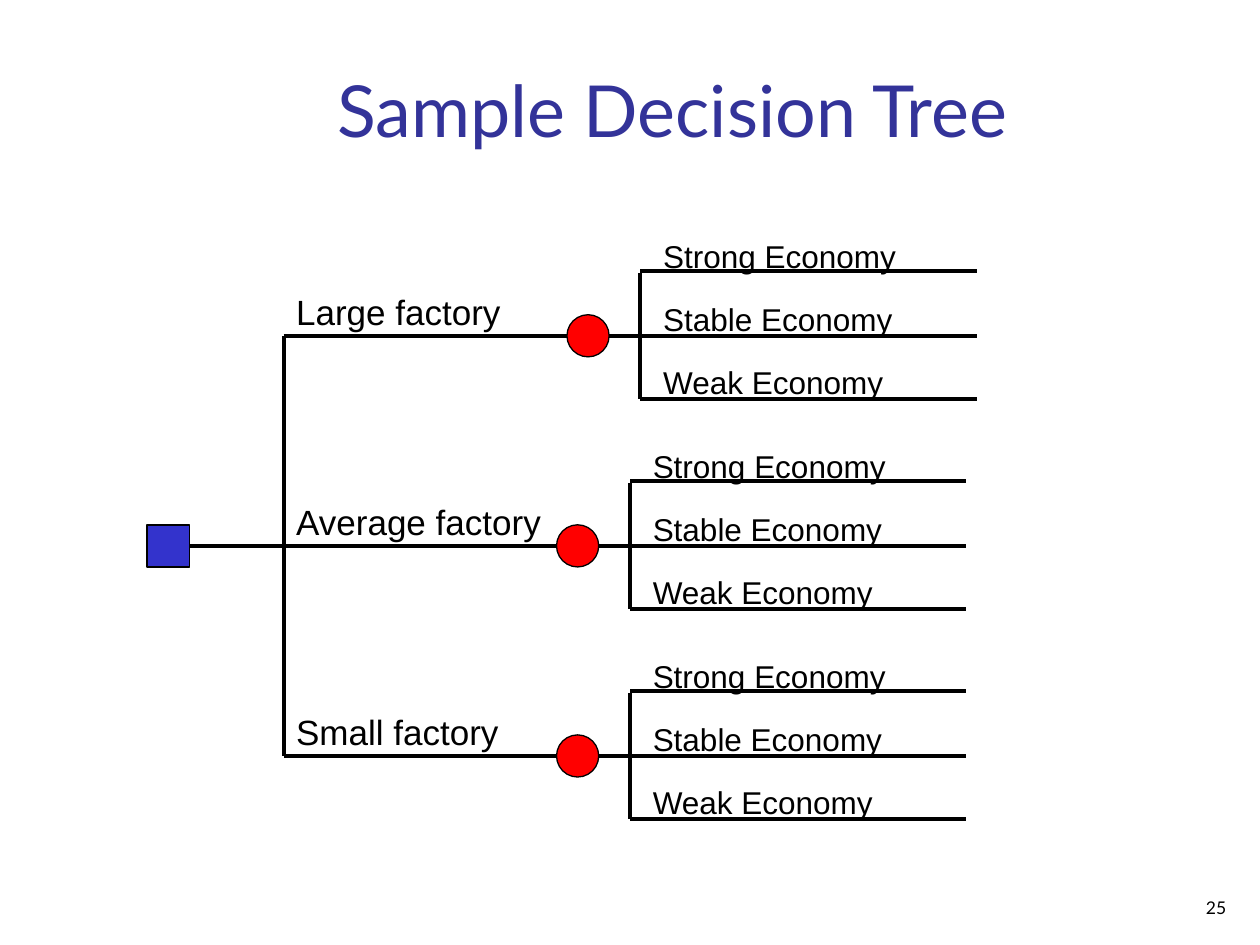
from pptx import Presentation
from pptx.dml.color import RGBColor
from pptx.enum.shapes import MSO_CONNECTOR, MSO_SHAPE
from pptx.enum.text import MSO_ANCHOR, MSO_AUTO_SIZE, PP_ALIGN
from pptx.oxml.ns import qn
from pptx.util import Cm, Pt
from lxml.etree import SubElement

NODE = 0.85  # side of the square and diameter of the circles
STEP = 1.27  # gap between outcomes
ROW = 4.235  # gap between factories
OPTIONS = [("Large factory", 11.43), ("Average factory", 11.22), ("Small factory", 11.22)]
OUTCOMES = ["Strong Economy", "Stable Economy", "Weak Economy"]


def color(code):
    return RGBColor.from_string(code)


def write(shape, text, size=18, font="Arial", ink="000000",
          align=PP_ALIGN.LEFT, anchor=MSO_ANCHOR.MIDDLE):
    frame = shape.text_frame
    frame.word_wrap = True
    frame.auto_size = MSO_AUTO_SIZE.NONE
    frame.vertical_anchor = anchor
    frame.text = text
    para = frame.paragraphs[0]
    para.alignment = align
    para.font.size = Pt(size)
    para.font.name = font
    para.font.color.rgb = color(ink)


def label(slide, box, text, **style):
    shape = slide.shapes.add_textbox(*map(Cm, box))
    write(shape, text, **style)


def node(slide, kind, x, y, fill, width):
    """Place a node with its left side at x, centred on height y."""
    shape = slide.shapes.add_shape(kind, Cm(x), Cm(y - NODE / 2), Cm(NODE), Cm(NODE))
    shape.shadow.inherit = False
    shape.fill.solid()
    shape.fill.fore_color.rgb = color(fill)
    shape.line.color.rgb = color("000000")
    shape.line.width = Pt(width)
    return shape


def line(slide, x1, y1, x2, y2):
    link = slide.shapes.add_connector(MSO_CONNECTOR.STRAIGHT, *map(Cm, (x1, y1, x2, y2)))
    link.line.color.rgb = color("000000")
    link.line.width = Pt(2.25)
    SubElement(link._element.spPr, qn("a:effectLst"))
    return link


def fan(slide, x, y):
    """Draw a chance node at x, y and its three outcomes."""
    trunk, end = x + 1.48, x + 8.26
    node(slide, MSO_SHAPE.OVAL, x, y, "FF0000", 0.75)
    line(slide, trunk, y - STEP, trunk, y + STEP)
    starts = (trunk, x + NODE, trunk)
    rises = (-STEP - 0.04, 0, STEP)
    for i, (text, start, rise) in enumerate(zip(OUTCOMES, starts, rises)):
        label(slide, (x + 1.69, y - 2.12 + i * STEP, 5.72, 1.02), text)
        line(slide, start, y + rise, end, y + rise)


def tree(slide, x, y):
    """Draw the decision tree: x is the root's left side, y the top branch."""
    fork, mid = x + 2.75, y + ROW
    line(slide, fork, y, fork, y + 2 * ROW)
    root = node(slide, MSO_SHAPE.RECTANGLE, x, mid, "3333CC", 1)
    for i, (text, chance) in enumerate(OPTIONS):
        row = y + i * ROW
        # The middle branch runs straight on from the root
        branch = line(slide, x + NODE if row == mid else fork, row, chance, row)
        if row == mid:
            branch.begin_connect(root, 3)
        label(slide, (fork, row - 1.06, 5.72, 1.12), text, size=20)
        fan(slide, chance, row)


def heading(slide, box):
    title = slide.shapes.title
    title.left, title.top, title.width, title.height = map(Cm, box)
    write(title, "Sample Decision Tree", size=41, font="Lato", ink="333399",
          align=PP_ALIGN.CENTER, anchor=MSO_ANCHOR.BOTTOM)


def main():
    deck = Presentation()
    deck.slide_width, deck.slide_height = Cm(25.4), Cm(19.05)
    slide = deck.slides.add_slide(deck.slide_layouts[5])
    heading(slide, (2.74, 1.07, 21.64, 2.11))
    tree(slide, 2.97, 6.77)
    # Page number
    label(slide, (19.69, 17.78, 5.28, 0.86), "25", size=10, font="Lato",
          align=PP_ALIGN.RIGHT, anchor=MSO_ANCHOR.BOTTOM)
    deck.save("out.pptx")


if __name__ == "__main__":
    main()
